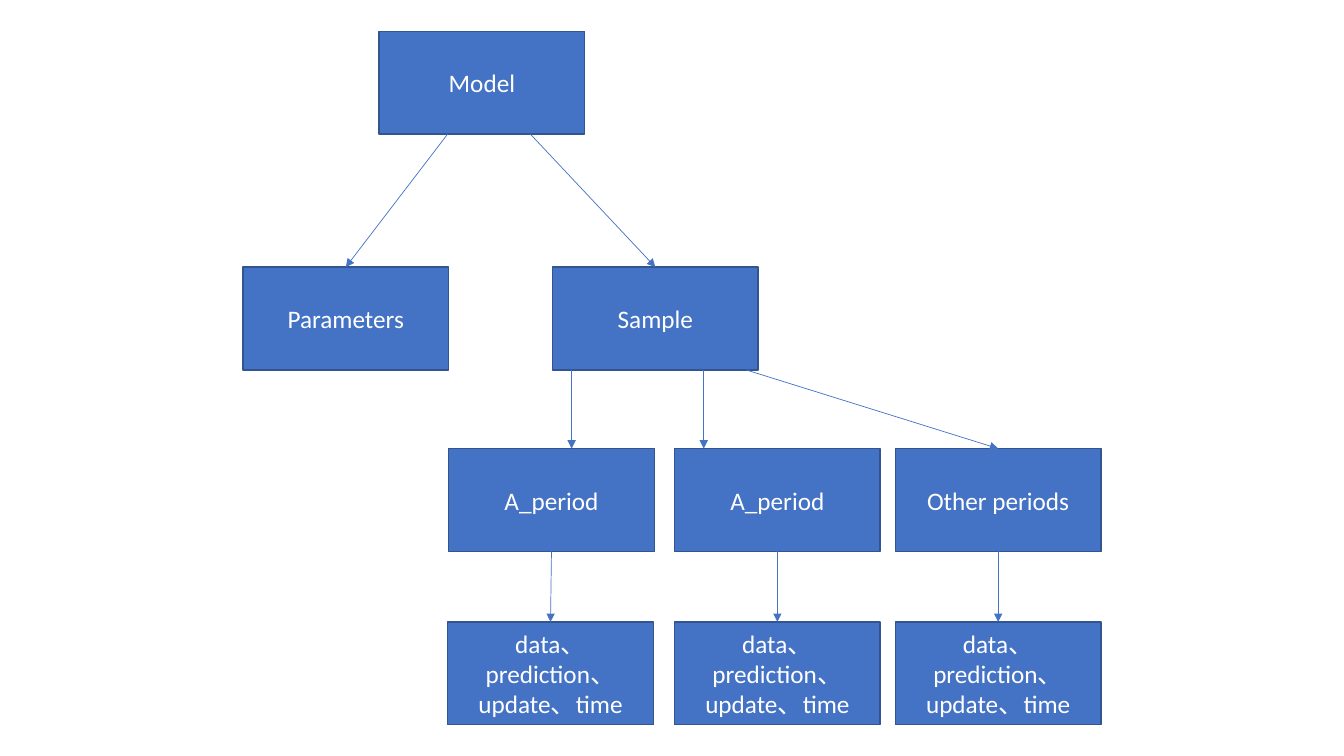
import pptx
import pptx.util
import pptx.dml.color
import pptx.enum.shapes
import pptx.enum.text
import pptx.oxml.ns
import lxml.etree

SLIDE_SIZE = (13.33, 7.5)
BOX_SIZE = (2.04, 1.02)
ROW_TOPS = (0.31, 2.65, 4.45, 6.17)
FILL, BORDER, TEXT = "4472C4", "325491", "FFFFFF"
DETAILS = "data、prediction、update、time"

BOXES = {
    "model": ("Model", 3.76, 0),
    "parameters": ("Parameters", 2.41, 1),
    "sample": ("Sample", 5.48, 1),
    "first": ("A_period", 4.45, 2),
    "second": ("A_period", 6.69, 2),
    "other": ("Other periods", 8.88, 2),
    "first details": (DETAILS, 4.44, 3),
    "second details": (DETAILS, 6.69, 3),
    "other details": (DETAILS, 8.88, 3),
}
CENTRE_ARROWS = [(name, name + " details") for name in ("first", "second", "other")]
BRANCH_ARROWS = [
    ("model", 4.44, "parameters"),
    ("model", 5.26, "sample"),
    ("sample", 7.4, "other"),
]
DROP_ARROWS = [("sample", 5.67, "first"), ("sample", 6.98, "second")]

inches = pptx.util.Inches


def colour(value):
    return pptx.dml.color.RGBColor.from_string(value)


def add_box(page, text, left, row):
    box = page.shapes.add_shape(
        pptx.enum.shapes.MSO_SHAPE.RECTANGLE,
        inches(left), inches(ROW_TOPS[row]), *map(inches, BOX_SIZE))
    box.shadow.inherit = False
    box.fill.solid()
    box.fill.fore_color.rgb = colour(FILL)
    box.line.color.rgb = colour(BORDER)
    box.line.width = pptx.util.Pt(1)
    frame = box.text_frame
    frame.word_wrap = True
    frame.vertical_anchor = pptx.enum.text.MSO_ANCHOR.MIDDLE
    para = frame.paragraphs[0]
    para.alignment = pptx.enum.text.PP_ALIGN.CENTER
    span = para.add_run()
    span.text = text
    span.font.name = "Calibri"
    span.font.size = pptx.util.Pt(18)
    span.font.color.rgb = colour(TEXT)
    return box


def add_arrow(page, source, target, start=0, end=0):
    arrow = page.shapes.add_connector(
        pptx.enum.shapes.MSO_CONNECTOR.STRAIGHT,
        inches(start), source.top + source.height, inches(end), target.top)
    if not start:
        arrow.begin_connect(source, 2)
    if not end:
        arrow.end_connect(target, 0)
    arrow.line.color.rgb = colour(FILL)
    arrow.line.width = pptx.util.Pt(0.5)
    qn = pptx.oxml.ns.qn
    head = lxml.etree.SubElement(arrow.line._get_or_add_ln(), qn("a:tailEnd"))
    head.set("type", "triangle")
    lxml.etree.SubElement(arrow._element.spPr, qn("a:effectLst"))


def main():
    deck = pptx.Presentation()
    deck.slide_width, deck.slide_height = map(inches, SLIDE_SIZE)
    page = deck.slides.add_slide(deck.slide_layouts[6])
    boxes = {name: add_box(page, *entry) for name, entry in BOXES.items()}
    for source, target in CENTRE_ARROWS:
        add_arrow(page, boxes[source], boxes[target])
    for source, start, target in BRANCH_ARROWS:
        add_arrow(page, boxes[source], boxes[target], start)
    for source, x, target in DROP_ARROWS:
        add_arrow(page, boxes[source], boxes[target], x, x)
    deck.save("out.pptx")


if __name__ == "__main__":
    main()
